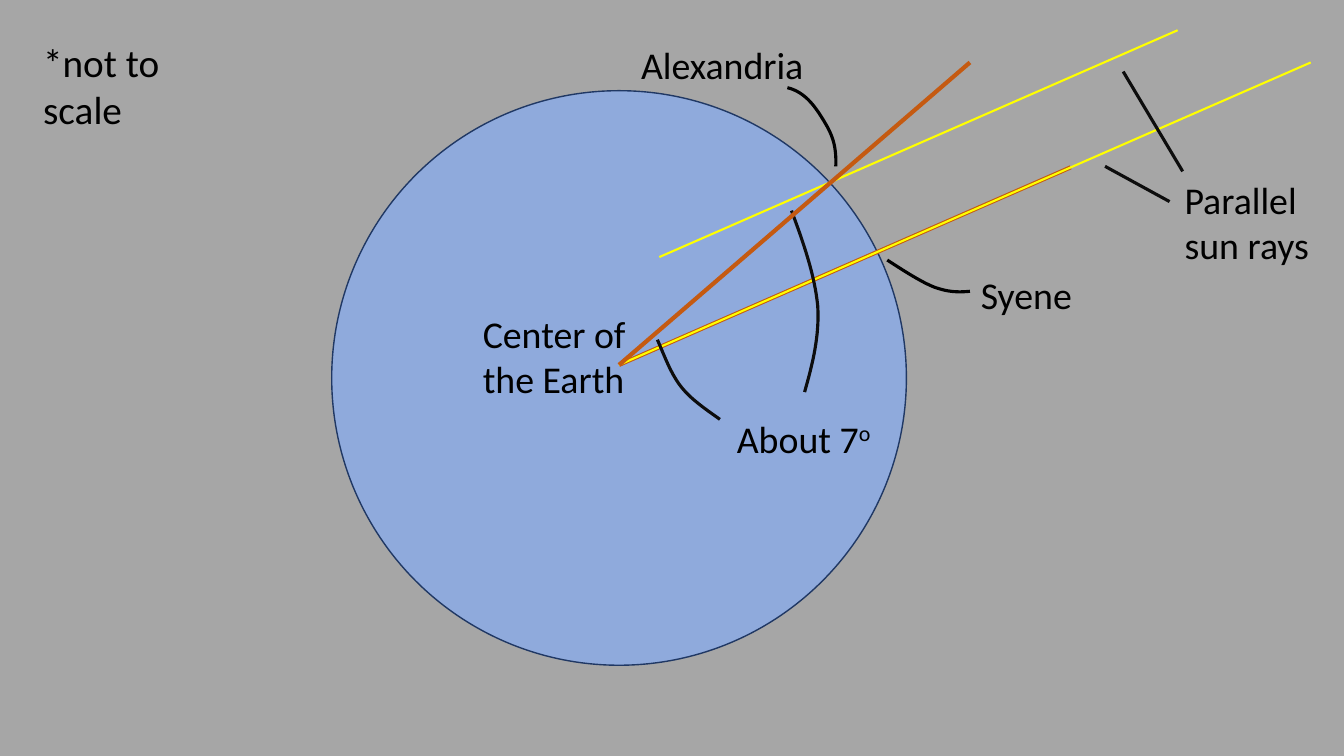
from dataclasses import dataclass

from lxml import etree
from pptx import Presentation
from pptx.dml.color import RGBColor
from pptx.enum.shapes import MSO_CONNECTOR, MSO_SHAPE
from pptx.enum.text import MSO_AUTO_SIZE
from pptx.oxml.ns import qn
from pptx.util import Inches, Pt

STRAIGHT = MSO_CONNECTOR.STRAIGHT
OVAL = MSO_SHAPE.OVAL
FIT_SHAPE = MSO_AUTO_SIZE.SHAPE_TO_FIT_TEXT

SKY = "A6A6A6"
EARTH_FILL = "8FAADC"
EARTH_EDGE = "203864"
RADIUS_COLOR = "C55A11"
SUN_COLOR = "FFFF00"
BLACK = "000000"
INK = "0D0D0D"
POINTER_WIDTH = 2.25
CURVE_STEPS = 16

Point = tuple[float, float]


@dataclass(frozen=True)
class Line:
    start: Point
    end: Point
    color: str = INK
    width: float = POINTER_WIDTH


@dataclass(frozen=True)
class Curve:
    points: tuple[Point, ...]
    color: str = INK


@dataclass(frozen=True)
class Label:
    text: str
    left: float
    top: float
    width: float
    height: float
    size: float = 27
    superscript: str = ""


EARTH_CENTER = (6.14, 3.62)

SYENE_LINES = [
    Line((10.62, 1.66), EARTH_CENTER, RADIUS_COLOR, 3),
    Line((13, 0.62), EARTH_CENTER, SUN_COLOR, 1.5),
]
ALEXANDRIA_LINES = [
    Line((11.68, 0.3), (6.54, 2.55), SUN_COLOR, 1.5),
    Line((9.62, 0.62), EARTH_CENTER, RADIUS_COLOR, 3),
]
SUN_RAY_POINTERS = [
    Line((10.96, 1.65), (11.6, 2)),
    Line((11.14, 0.71), (11.73, 1.7)),
]
CURVED_POINTERS = [
    Curve(((7.81, 0.87), (7.98, 0.91), (8.08, 1.05), (8.16, 1.18),
           (8.24, 1.31), (8.3, 1.42), (8.29, 1.65)), BLACK),
    Curve(((8.8, 2.58), (8.97, 2.69), (9.14, 2.8), (9.27, 2.85),
           (9.41, 2.9), (9.51, 2.9), (9.62, 2.89)), BLACK),
    Curve(((6.52, 3.37), (6.59, 3.53), (6.65, 3.7), (6.75, 3.83),
           (6.85, 3.96), (7, 4.06), (7.14, 4.16))),
    Curve(((7.85, 2.09), (7.97, 2.41), (8.08, 2.73), (8.11, 3.03),
           (8.13, 3.33), (8.06, 3.61), (7.98, 3.89))),
]
LABELS = [
    Label("Center of the Earth", 4.69, 3.03, 1.84, 1.01),
    Label("Syene", 9.63, 2.65, 1.34, 0.56),
    Label("Alexandria", 6.26, 0.36, 1.97, 0.56),
    Label("Parallel sun rays", 11.65, 1.7, 1.47, 1.01),
    Label("About 7", 7.21, 4.07, 1.59, 0.56, superscript="o"),
    Label("*not to scale", 0.33, 0.33, 1.69, 1.04, size=28),
]


def rgb(color: str) -> RGBColor:
    return RGBColor.from_string(color)


def draw_line(slide, line: Line) -> None:
    ends = [Inches(value) for value in (*line.start, *line.end)]
    connector = slide.shapes.add_connector(STRAIGHT, *ends)
    connector.line.color.rgb = rgb(line.color)
    connector.line.width = Pt(line.width)
    etree.SubElement(connector._element.spPr, qn("a:effectLst"))


def bezier_point(controls: tuple[Point, ...], t: float) -> Point:
    weights = ((1 - t) ** 3, 3 * t * (1 - t) ** 2, 3 * t ** 2 * (1 - t), t ** 3)
    x, y = (sum(w * value for w, value in zip(weights, axis))
            for axis in zip(*controls))
    return Inches(x), Inches(y)


def draw_curve(slide, curve: Curve) -> None:
    start_x, start_y = curve.points[0]
    vertices = [
        bezier_point(curve.points[first:first + 4], step / CURVE_STEPS)
        for first in range(0, len(curve.points) - 1, 3)
        for step in range(1, CURVE_STEPS + 1)
    ]
    builder = slide.shapes.build_freeform(Inches(start_x), Inches(start_y))
    builder.add_line_segments(vertices, close=False)
    pointer = builder.convert_to_shape()
    pointer.shadow.inherit = False
    pointer.fill.background()
    pointer.line.color.rgb = rgb(curve.color)
    pointer.line.width = Pt(POINTER_WIDTH)


def draw_label(slide, label: Label) -> None:
    frame = slide.shapes.add_textbox(
        Inches(label.left), Inches(label.top),
        Inches(label.width), Inches(label.height)).text_frame
    frame.word_wrap = True
    frame.auto_size = FIT_SHAPE
    frame.text = label.text
    paragraph = frame.paragraphs[0]
    if label.superscript:
        raised = paragraph.add_run()
        raised.text = label.superscript
        raised._r.get_or_add_rPr().set("baseline", "30000")
    for run in paragraph.runs:
        run.font.name = "Calibri"
        run.font.size = Pt(label.size)
        run.font.color.rgb = rgb(BLACK)


def draw_earth(slide) -> None:
    earth = slide.shapes.add_shape(
        OVAL, Inches(3.29), Inches(0.9), Inches(5.7), Inches(5.7))
    earth.shadow.inherit = False
    earth.fill.solid()
    earth.fill.fore_color.rgb = rgb(EARTH_FILL)
    earth.line.color.rgb = rgb(EARTH_EDGE)
    earth.line.width = Pt(1)


def main() -> None:
    deck = Presentation()
    deck.slide_width = Inches(13.33)
    deck.slide_height = Inches(7.5)
    slide = deck.slides.add_slide(deck.slide_layouts[6])
    slide.background.fill.solid()
    slide.background.fill.fore_color.rgb = rgb(SKY)

    draw_earth(slide)
    for line in SYENE_LINES + SUN_RAY_POINTERS:
        draw_line(slide, line)
    for curve in CURVED_POINTERS:
        draw_curve(slide, curve)
    for label in LABELS:
        draw_label(slide, label)
    for line in ALEXANDRIA_LINES:
        draw_line(slide, line)

    deck.save("out.pptx")


if __name__ == "__main__":
    main()
